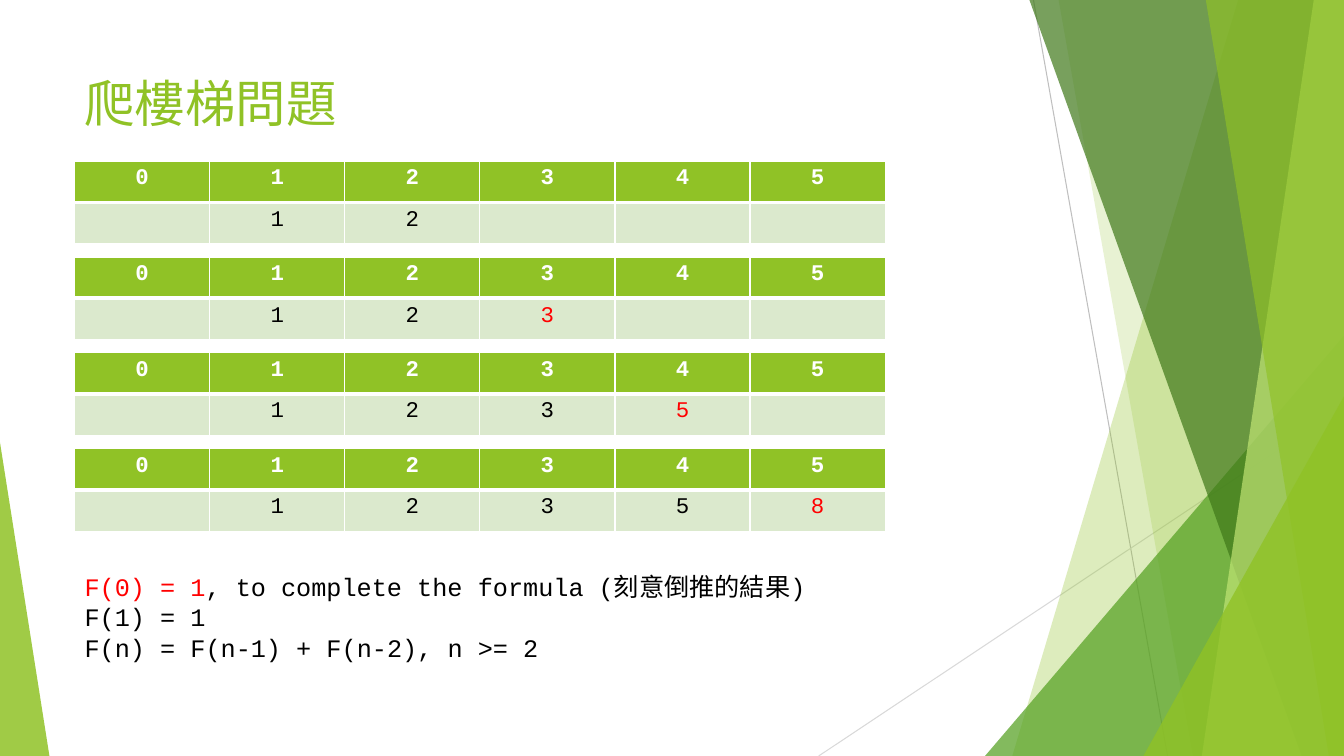
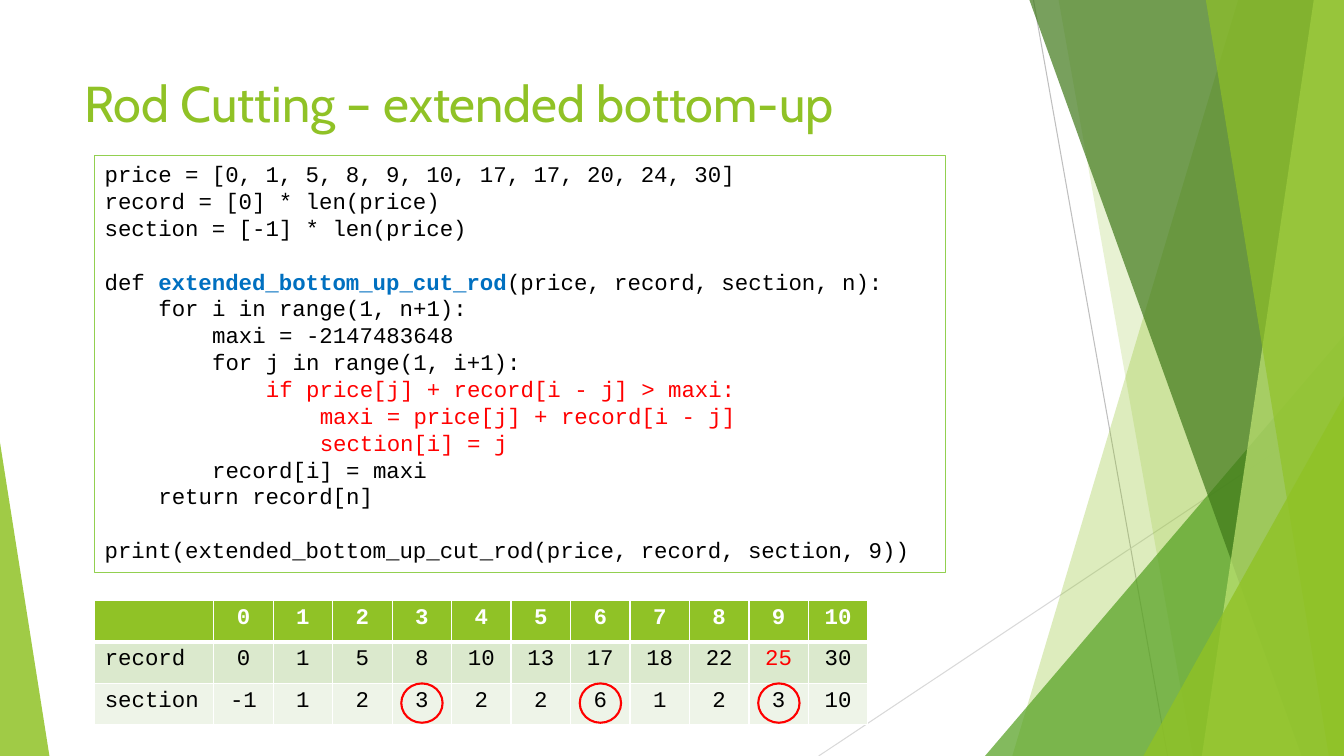
from lxml import etree
from pptx import Presentation
from pptx.dml.color import RGBColor
from pptx.enum.shapes import MSO_CONNECTOR, MSO_SHAPE
from pptx.enum.text import MSO_ANCHOR, PP_ALIGN
from pptx.oxml.ns import qn
from pptx.util import Emu, Inches, Pt

GREEN, WHITE, BLACK = "90C226", "FFFFFF", "000000"
RED, BLUE = "FF0000", "0070C0"
BODY_FILLS = ("EEF4E8", "DBE9CD")
TITLE_FONT, CODE_FONT = "Cabin", "Courier New"
WIDTH, HEIGHT = 13.33, 7.5
ROW_HEIGHT = 0.41
CODE_SIZE = 16
CODE_LINE = 1.2 * CODE_SIZE
CODE_INDENT = 4 * 0.6 * CODE_SIZE

# Slanted bands: left end on top, left end at the bottom, colour, opacity.
BACK_BANDS = [(12.28, 10.04, GREEN, 30), (10.5, 11.83, GREEN, 20)]
FRONT_BANDS = [(10.21, 12.91, "3F7819", 70), (13.03, 11.92, "C0E474", 70),
               (11.96, 13.18, GREEN, 65)]


def rgb(color):
    return RGBColor.from_string(color)


def set_font(font, size=None, color=None, name=None, bold=None):
    if size:
        font.size = Pt(size)
    if color:
        font.color.rgb = rgb(color)
    if name:
        font.name = name
    if bold is not None:
        font.bold = bold


def write(paragraph, parts, **style):
    """Write a string, or (text, own style) parts, in one paragraph style."""
    set_font(paragraph.font, **style)
    if isinstance(parts, str):
        parts = [(parts, {})]
    for text, own_style in parts:
        run = paragraph.add_run()
        run.text = text
        set_font(run.font, **own_style)


def set_border(cell, edge, width):
    line = etree.SubElement(cell._tc.get_or_add_tcPr(), qn(f"a:ln{edge}"),
                            w=str(Pt(width)))
    fill = etree.SubElement(line, qn("a:solidFill"))
    etree.SubElement(fill, qn("a:srgbClr"), val=WHITE)


class Deck:
    def __init__(self):
        self.prs = Presentation()
        self.prs.slide_width = Inches(WIDTH)
        self.prs.slide_height = Inches(HEIGHT)
        self.slide = None

    @property
    def shapes(self):
        return self.slide.shapes

    def add_slide(self, title):
        self.slide = self.prs.slides.add_slide(self.prs.slide_layouts[6])
        self.decorate()
        frame = self.text_frame(0.74, 0.67, 9.4, 1.44)
        write(frame.paragraphs[0], title, size=36, color=GREEN, name=TITLE_FONT)

    def decorate(self):
        self.line(10.25, 0, 11.58, HEIGHT, "BFBFBF")
        self.line(WIDTH, 4.03, 8.12, HEIGHT, "D9D9D9")
        for band in BACK_BANDS:
            self.band(*band)
        self.triangle(9.77, 3.33, 3.56, 1, "54A021", 72)
        for band in FRONT_BANDS:
            self.band(*band)
        self.triangle(11.34, 3.93, 1.99, 1, GREEN, 80)
        self.triangle(0, 4.39, 0.49, 0, GREEN, 85)

    def line(self, x1, y1, x2, y2, color):
        line = self.shapes.add_connector(
            MSO_CONNECTOR.STRAIGHT, *map(Inches, (x1, y1, x2, y2)))
        line.line.color.rgb = rgb(color)
        line.line.width = Pt(0.75)
        etree.SubElement(line._element.spPr, qn("a:effectLst"))

    def tint(self, shape, color, opacity):
        """Fill without outline; opacity is in percent."""
        shape.shadow.inherit = False
        shape.line.fill.background()
        shape.fill.solid()
        shape.fill.fore_color.rgb = rgb(color)
        value = shape._element.spPr.find(f".//{qn('a:srgbClr')}")
        etree.SubElement(value, qn("a:alpha"), val=str(opacity * 1000))

    def band(self, top_x, bottom_x, color, opacity):
        """Fill everything right of a slanted edge."""
        builder = self.shapes.build_freeform(Inches(top_x), 0)
        corners = [(WIDTH, 0), (WIDTH, HEIGHT), (bottom_x, HEIGHT)]
        builder.add_line_segments([(Inches(x), Inches(y)) for x, y in corners])
        self.tint(builder.convert_to_shape(), color, opacity)

    def triangle(self, left, top, width, apex, color, opacity):
        """Stand a triangle on the bottom edge of the slide."""
        shape = self.shapes.add_shape(
            MSO_SHAPE.ISOSCELES_TRIANGLE,
            *map(Inches, (left, top, width, HEIGHT - top)))
        shape.adjustments[0] = apex
        self.tint(shape, color, opacity)

    def text_frame(self, left, top, width, height):
        frame = self.shapes.add_textbox(
            *map(Inches, (left, top, width, height))).text_frame
        frame.word_wrap = True
        return frame

    def text(self, left, top, width, height, lines):
        frame = self.text_frame(left, top, width, height)
        for index, parts in enumerate(lines):
            paragraph = frame.add_paragraph() if index else frame.paragraphs[0]
            write(paragraph, parts, size=18, color=BLACK, name=CODE_FONT)

    def outline(self, kind, left, top, width, height, color, weight):
        shape = self.shapes.add_shape(
            kind, *map(Inches, (left, top, width, height)))
        shape.shadow.inherit = False
        shape.fill.background()
        shape.line.color.rgb = rgb(color)
        shape.line.width = Pt(weight)
        return shape

    def code(self, left, top, width, height, blocks):
        """Write blocks of (indent level, text, colour) lines in a frame."""
        frame = self.outline(MSO_SHAPE.RECTANGLE, left, top, width, height,
                             "92D050", 0.75).text_frame
        frame.word_wrap = True
        frame.vertical_anchor = MSO_ANCHOR.TOP
        paragraph = frame.paragraphs[0]
        for block_index, block in enumerate(blocks):
            for line_index, (level, parts, color) in enumerate(block):
                if block_index or line_index:
                    paragraph = frame.add_paragraph()
                paragraph.alignment = PP_ALIGN.LEFT
                if block_index and not line_index:
                    paragraph.space_before = Pt(CODE_LINE)
                margin = Pt(level * CODE_INDENT)
                paragraph._p.get_or_add_pPr().set("marL", str(margin))
                write(paragraph, parts, size=CODE_SIZE, color=color,
                      name=CODE_FONT)

    def table(self, left, top, widths, rows, red=None, labels=False):
        """Draw a table; red is the (row, column) of the highlighted value."""
        table = self.shapes.add_table(
            len(rows), len(widths), Inches(left), Inches(top),
            Inches(sum(widths)), Inches(ROW_HEIGHT * len(rows))).table
        for column, width in zip(table.columns, widths):
            column.width = Inches(width)
        for r, values in enumerate(rows):
            table.rows[r].height = Inches(ROW_HEIGHT)
            for c, value in enumerate(values):
                cell = table.cell(r, c)
                for edge in "LRTB":
                    under_header = (r, edge) in ((0, "B"), (1, "T"))
                    set_border(cell, edge, 3 if under_header else 1)
                cell.fill.solid()
                cell.fill.fore_color.rgb = rgb(BODY_FILLS[r % 2] if r else GREEN)
                paragraph = cell.text_frame.paragraphs[0]
                is_label = labels and c == 0
                paragraph.alignment = PP_ALIGN.LEFT if is_label else PP_ALIGN.CENTER
                color = RED if (r, c) == red else BLACK if r else WHITE
                write(paragraph, str(value), size=16, color=color,
                      name=CODE_FONT, bold=r == 0)


def climbing_stairs(deck):
    deck.add_slide("爬樓梯問題")
    ways = ["", 1, 2, 3, 5, 8]
    for step in range(4):
        last = step + 2
        known = [value if n <= last else "" for n, value in enumerate(ways)]
        deck.table(0.74, 1.6 + 0.95 * step, [1.34] * len(ways),
                   [range(len(ways)), known], red=(1, last) if step else None)
    deck.text(0.74, 5.62, 7.46, 1.01, [
        [("F(0) = 1", {"color": RED}),
         (", to complete the formula (刻意倒推的結果)", {})],
        "F(1) = 1",
        "F(n) = F(n-1) + F(n-2), n >= 2",
    ])


def rod_cutting(deck):
    deck.add_slide("Rod Cutting – extended bottom-up")
    signature = [("def ", {}),
                 ("extended_bottom_up_cut_rod", {"color": BLUE, "bold": True}),
                 ("(price, record, section, n):", {})]
    deck.code(0.94, 1.54, 8.44, 4.14, [
        [(0, "price = [0, 1, 5, 8, 9, 10, 17, 17, 20, 24, 30]", BLACK),
         (0, "record = [0] * len(price)", BLACK),
         (0, "section = [-1] * len(price)", BLACK)],
        [(0, signature, BLACK),
         (1, "for i in range(1, n+1):", BLACK),
         (2, "maxi = -2147483648", BLACK),
         (2, "for j in range(1, i+1):", BLACK),
         (3, "if price[j] + record[i - j] > maxi:", RED),
         (4, "maxi = price[j] + record[i - j]", RED),
         (4, "section[i] = j", RED),
         (2, "record[i] = maxi", BLACK),
         (1, "return record[n]", BLACK)],
        [(0, "print(extended_bottom_up_cut_rod(price, record, section, 9))",
          BLACK)],
    ])
    left, label_width, value_width = 0.94, 1.18, 0.59
    record = [0, 1, 5, 8, 10, 13, 17, 18, 22, 25, 30]
    section = [-1, 1, 2, 3, 2, 2, 6, 1, 2, 3, 10]
    deck.table(left, 5.96, [label_width] + [value_width] * len(record),
               [["", *range(len(record))], ["record", *record],
                ["section", *section]], red=(1, 10), labels=True)
    ring_width = 0.41
    for length in (9, 6, 3):
        center = left + label_width + value_width * (length + 0.5)
        deck.outline(MSO_SHAPE.OVAL, center - ring_width / 2, 6.78,
                     ring_width, 0.39, RED, 1.5)


def main():
    deck = Deck()
    climbing_stairs(deck)
    rod_cutting(deck)
    deck.prs.save("out.pptx")


if __name__ == "__main__":
    main()
